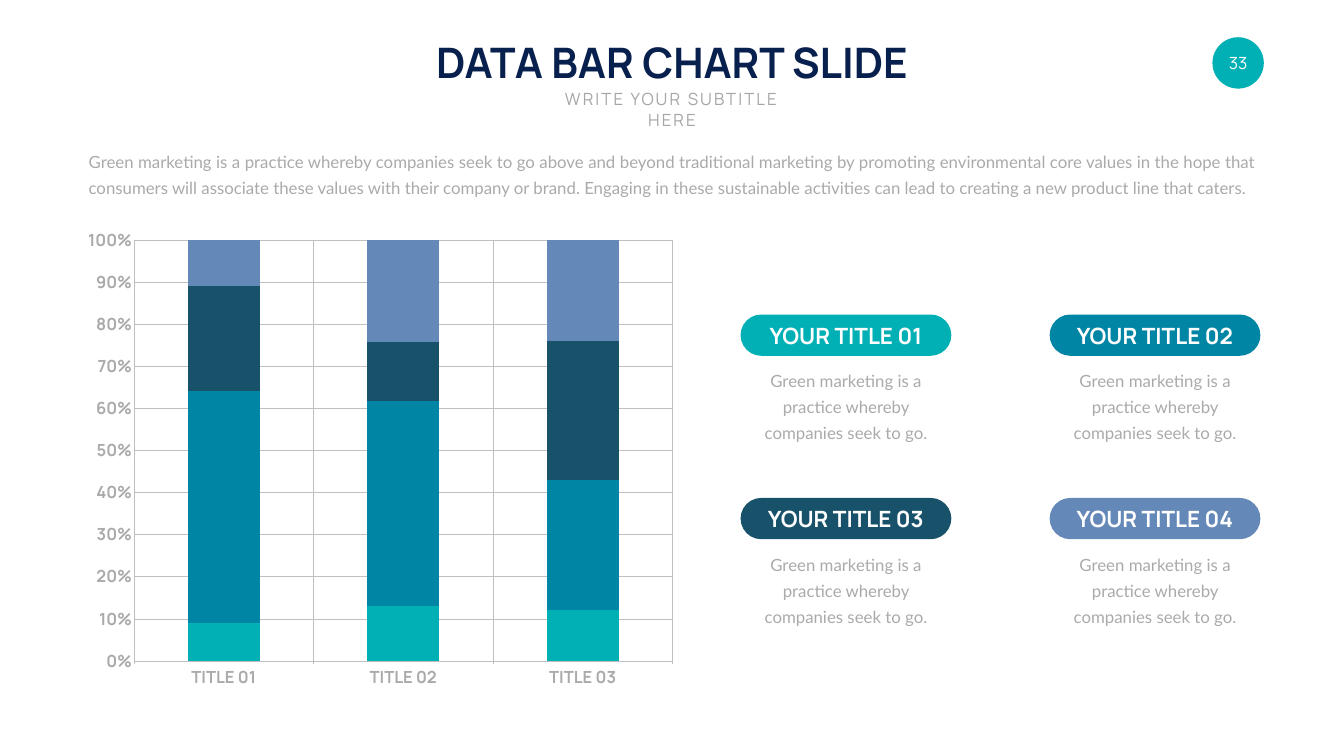
from lxml import etree
from pptx import Presentation
from pptx.chart.data import CategoryChartData
from pptx.dml.color import RGBColor
from pptx.enum.chart import XL_CHART_TYPE, XL_TICK_MARK
from pptx.enum.shapes import MSO_SHAPE
from pptx.enum.text import MSO_ANCHOR, PP_ALIGN
from pptx.oxml import parse_xml
from pptx.oxml.ns import nsdecls, qn
from pptx.util import Pt

STACKED = XL_CHART_TYPE.COLUMN_STACKED_100
TICK_OUT, TICK_NONE = XL_TICK_MARK.OUTSIDE, XL_TICK_MARK.NONE
OVAL, PILL = MSO_SHAPE.OVAL, MSO_SHAPE.ROUNDED_RECTANGLE
TOP, MIDDLE = MSO_ANCHOR.TOP, MSO_ANCHOR.MIDDLE
CENTER, JUSTIFY = PP_ALIGN.CENTER, PP_ALIGN.JUSTIFY

COLORS = {
    "navy": "08204D", "white": "FFFFFF", "subtitle": "A6A6A6",
    "body": "AAAAAA", "grid": "BFBFBF",
    "turquoise": "00B0B5", "blue": "0085A4", "petrol": "18526A", "periwinkle": "6488B7",
}
SERIES_COLORS = ["turquoise", "blue", "petrol", "periwinkle"]

# Text formats
TITLE = {"name": "Manrope", "size": Pt(60), "bold": True, "color": "navy"}
SUBTITLE = {"name": "Manrope", "size": Pt(24), "color": "subtitle"}
NUMBER = {"name": "Manrope", "size": Pt(24), "color": "white"}
LABEL = {"name": "Manrope", "size": Pt(32), "bold": True, "color": "white"}
AXIS = {"name": "Manrope", "size": Pt(24), "bold": True, "color": "body"}
BODY = {"name": "Lato", "size": Pt(24), "color": "body"}
BODY_SPACING = {"line_spacing": Pt(37), "space_before": Pt(4.8)}

INTRO = ("Green marketing is a practice whereby companies seek to go above and beyond "
         "traditional marketing by promoting environmental core values in the hope that "
         "consumers will associate these values with their company or brand. Engaging in "
         "these sustainable activities can lead to creating a new product line that caters.")
CARD_TEXT = "Green marketing is a practice whereby companies seek to go."
CATEGORIES = ["TITLE 01", "TITLE 02", "TITLE 03"]
VALUES = [(9, 13, 12), (55, 48, 31), (25, 14, 33), (11, 24, 24)]


def rgb(name):
    return RGBColor.from_string(COLORS[name])


def set_font(font, fmt):
    for key, value in fmt.items():
        if key == "color":
            font.color.rgb = rgb(value)
        else:
            setattr(font, key, value)


def write(sp, text, fmt, align=CENTER, anchor=TOP, wrap=True, spacing=None):
    tf = sp.text_frame
    tf.word_wrap = wrap
    tf.vertical_anchor = anchor
    p = tf.paragraphs[0]
    p.alignment = align
    for key, value in (spacing or {}).items():
        setattr(p, key, value)
    r = p.add_run()
    r.text = text
    set_font(r.font, fmt)
    return r


def add_text(s, box, text, fmt, **options):
    sp = s.shapes.add_textbox(*map(Pt, box))
    return write(sp, text, fmt, **options)


def add_badge(s, kind, box, color, text, fmt):
    """Filled shape with its text centred inside."""
    sp = s.shapes.add_shape(kind, *map(Pt, box))
    sp.shadow.inherit = False
    sp.fill.solid()
    sp.fill.fore_color.rgb = rgb(color)
    sp.line.fill.background()
    tf = sp.text_frame
    for side in ("left", "top", "right", "bottom"):
        setattr(tf, f"margin_{side}", 0)
    write(sp, text, fmt, anchor=MIDDLE, wrap=False)
    return sp


def add_header(s, left, top, width):
    middle = left + width / 2
    add_text(s, (middle - 359, top, 718, 80), "DATA BAR CHART SLIDE", TITLE, wrap=False)
    r = add_text(s, (middle - 195.5, top + 75.6, 391, 36), "WRITE YOUR SUBTITLE HERE", SUBTITLE)
    r.font._element.set("spc", "300")  # letter spacing
    add_badge(s, OVAL, (1731.6, top + 5, 73.4, 73.4), "turquoise", "33", NUMBER)


def set_plot_area(chart, x, y, w, h):
    """Fix the inner plot area, as fractions of the chart."""
    area = chart._chartSpace.find(".//" + qn("c:plotArea"))
    for old in area.findall(qn("c:layout")):
        area.remove(old)
    layout = parse_xml(f"<c:layout {nsdecls('c')}/>")
    manual = etree.SubElement(layout, qn("c:manualLayout"))
    values = {"layoutTarget": "inner", "xMode": "edge", "yMode": "edge",
              "x": x, "y": y, "w": w, "h": h}
    for tag, value in values.items():
        etree.SubElement(manual, qn(f"c:{tag}")).set("val", str(value))
    area.insert(0, layout)


def add_bar_chart(s, box):
    data = CategoryChartData()
    data.categories = CATEGORIES
    for i, values in enumerate(VALUES, 1):
        data.add_series(f"Series {i}", values)
    chart = s.shapes.add_chart(STACKED, *map(Pt, box), data).chart
    chart.has_legend = False
    chart.has_title = False
    chart.font.name, chart.font.size = "Calibri", Pt(18)
    set_plot_area(chart, 0.061, 0.02, 0.915, 0.886)

    # Bars
    plot = chart.plots[0]
    plot.gap_width, plot.overlap, plot.vary_by_categories = 150, 100, False
    for series, color in zip(plot.series, SERIES_COLORS):
        series.format.fill.solid()
        series.format.fill.fore_color.rgb = rgb(color)

    # Axes
    for axis, tick in ((chart.category_axis, TICK_OUT), (chart.value_axis, TICK_NONE)):
        axis.has_major_gridlines = True
        axis.major_tick_mark, axis.minor_tick_mark = tick, TICK_NONE
        set_font(axis.tick_labels.font, AXIS)
        for line in (axis.format.line, axis.major_gridlines.format.line):
            line.color.rgb = rgb("grid")
            line.width = Pt(0.75)
    axis = chart.value_axis
    axis.minimum_scale, axis.maximum_scale, axis.major_unit = 0, 1, 0.1
    axis.tick_labels.number_format = "0%"
    axis.tick_labels.number_format_is_linked = False


def add_card(s, left, top, width, title, color):
    sp = add_badge(s, PILL, (left, top, width, 59), color, title, LABEL)
    sp.adjustments[0] = 0.5
    add_text(s, (left, top + 69, width, 115), CARD_TEXT, BODY, spacing=BODY_SPACING)


def add_cards(s, left, top, col_step, row_step, width):
    for i, color in enumerate(SERIES_COLORS):
        row, col = divmod(i, 2)
        add_card(s, left + col * col_step, top + row * row_step, width,
                 f"YOUR TITLE {i + 1:02}", color)


def main():
    prs = Presentation()
    prs.slide_width, prs.slide_height = Pt(1919.52), Pt(1080)
    s = prs.slides.add_slide(prs.slide_layouts[6])
    add_header(s, 0, 48.2, 1919.52)
    add_bar_chart(s, (126, 326.2, 854.6, 681.8))
    add_text(s, (119.5, 204.5, 1679.8, 77.8), INTRO, BODY,
             align=JUSTIFY, spacing=BODY_SPACING)
    add_cards(s, 1057.7, 449.3, 441.4, 262, 301)
    prs.save("out.pptx")


if __name__ == "__main__":
    main()
